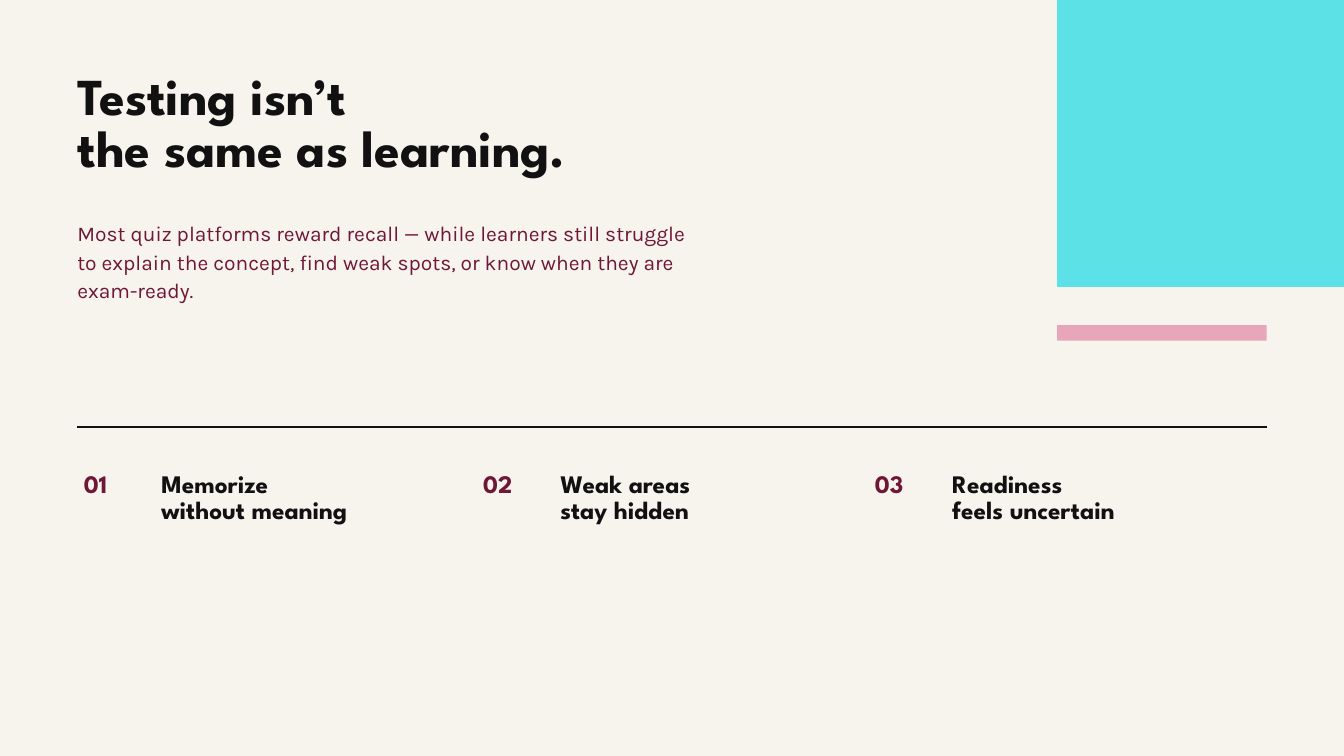
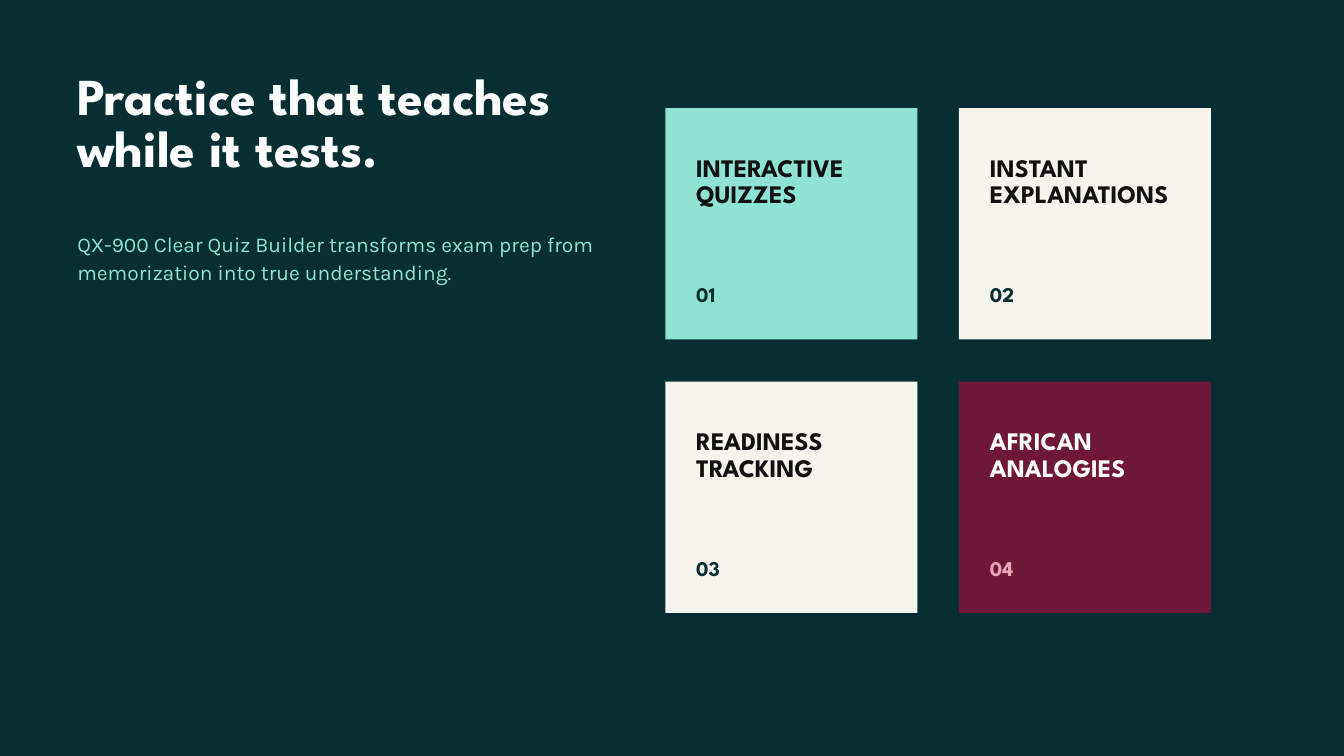
from dataclasses import dataclass

from lxml import etree
from pptx import Presentation
from pptx.dml.color import RGBColor
from pptx.enum.shapes import MSO_CONNECTOR, MSO_SHAPE
from pptx.enum.text import MSO_AUTO_SIZE
from pptx.oxml.ns import qn
from pptx.util import Inches, Pt

RECTANGLE = MSO_SHAPE.RECTANGLE
STRAIGHT = MSO_CONNECTOR.STRAIGHT
GROW = MSO_AUTO_SIZE.SHAPE_TO_FIT_TEXT

CREAM = "F7F3ED"
DARK_TEAL = "072F33"
INK = "111111"
WHITE = "FFFFFF"
WINE = "6F1737"
PINK = "E8A6BA"
CYAN = "5CE1E6"
MINT = "8EE3D2"

HEADING_FONT = "League Spartan"
BODY_FONT = "Karla"
PAGE_WIDTH, PAGE_HEIGHT = 20, 11.25
MARGIN = 1.15

CARD_LEFT, CARD_TOP = 9.9, 1.61
CARD_WIDTH, CARD_HEIGHT = 3.75, 3.44
CARD_STEP_X, CARD_STEP_Y = 4.37, 4.07
CARD_PADDING = 0.46


@dataclass(frozen=True)
class Problem:
    """A numbered problem below the rule."""
    text: str
    left: float
    width: float


@dataclass(frozen=True)
class Card:
    """A coloured feature card."""
    text: str
    fill: str = CREAM
    text_color: str = INK
    number_color: str = DARK_TEAL


PROBLEMS = (
    Problem("Memorize\nwithout meaning", 1.25, 3.65),
    Problem("Weak areas\nstay hidden", 7.19, 3.33),
    Problem("Readiness\nfeels uncertain", 13.02, 4.06),
)

CARDS = (
    Card("INTERACTIVE\nQUIZZES", fill=MINT),
    Card("INSTANT\nEXPLANATIONS"),
    Card("READINESS\nTRACKING"),
    Card("AFRICAN\nANALOGIES", WINE, WHITE, PINK),
)


def rgb(color: str) -> RGBColor:
    """Turn a hex string into a colour."""
    return RGBColor.from_string(color)


def add_text(shapes, text: str, left: float, top: float, width: float, height: float, *,
             color: str, size: float = 27, spacing: float = 28.4,
             font: str = HEADING_FONT, bold: bool = True) -> None:
    """Add a text box without insets, one paragraph per line of text."""
    box = shapes.add_textbox(Inches(left), Inches(top), Inches(width), Inches(height))
    frame = box.text_frame
    frame.word_wrap = True
    frame.auto_size = GROW
    frame.margin_left = frame.margin_top = frame.margin_right = frame.margin_bottom = 0
    for index, line in enumerate(text.split("\n")):
        para = frame.add_paragraph() if index else frame.paragraphs[0]
        para.line_spacing = Pt(spacing)
        span = para.add_run()
        span.text = line
        span.font.name = font
        span.font.size = Pt(size)
        span.font.bold = bold
        span.font.color.rgb = rgb(color)


def add_block(shapes, left: float, top: float, width: float, height: float, fill: str) -> None:
    """Add a flat rectangle without outline."""
    block = shapes.add_shape(RECTANGLE, Inches(left), Inches(top), Inches(width), Inches(height))
    block.shadow.inherit = False
    block.fill.solid()
    block.fill.fore_color.rgb = rgb(fill)
    block.line.fill.background()


def add_rule(shapes, top: float) -> None:
    """Add a horizontal rule between the page margins."""
    rule = shapes.add_connector(STRAIGHT, Inches(MARGIN), Inches(top),
                                Inches(PAGE_WIDTH - MARGIN), Inches(top))
    rule.line.color.rgb = rgb(INK)
    rule.line.width = Pt(2.25)
    etree.SubElement(rule._element.spPr, qn("a:effectLst"))


def add_page(deck, background: str, title: str, title_color: str, title_width: float):
    """Add a blank page with its background and title."""
    page = deck.slides.add_slide(deck.slide_layouts[6])
    page.background.fill.solid()
    page.background.fill.fore_color.rgb = rgb(background)
    add_text(page.shapes, title, MARGIN, 1.1, title_width, 1.58,
             color=title_color, size=55.5, spacing=55.5)
    return page


def add_intro(shapes, text: str, top: float, width: float, height: float, color: str) -> None:
    """Add the introduction under a title."""
    add_text(shapes, text, MARGIN, top, width, height,
             color=color, size=22.5, spacing=30.4, font=BODY_FONT, bold=False)


def add_problem(shapes, number: int, problem: Problem) -> None:
    """Add a problem with its number on the left."""
    top = 7.02
    add_text(shapes, f"{number:02}", problem.left, top, 1.04, 0.4, color=WINE)
    add_text(shapes, problem.text, problem.left + 1.15, top, problem.width, 0.79, color=INK)


def add_card(shapes, number: int, card: Card) -> None:
    """Add a grouped card at its place in the two-column grid."""
    row, column = divmod(number - 1, 2)
    left = CARD_LEFT + column * CARD_STEP_X
    top = CARD_TOP + row * CARD_STEP_Y
    parts = shapes.add_group_shape().shapes
    add_block(parts, left, top, CARD_WIDTH, CARD_HEIGHT, card.fill)
    add_text(parts, card.text, left + CARD_PADDING, top + 0.71, 3.12, 0.8,
             color=card.text_color)
    add_text(parts, f"{number:02}", left + CARD_PADDING, top + 2.52, 0.94, 0.41,
             color=card.number_color, size=22.5, spacing=31.5)


def build_problem_page(deck) -> None:
    """Build the page on testing and learning."""
    shapes = add_page(deck, CREAM, "Testing isn’t\nthe same as learning.", INK, 10.83).shapes
    add_block(shapes, 15.73, 0, 4.27, 4.27, CYAN)
    add_block(shapes, 15.73, 4.84, 3.12, 0.23, PINK)
    add_intro(shapes, "Most quiz platforms reward recall — while learners still struggle "
              "to explain the concept, find weak spots, or know when they are exam-ready.",
              3.24, 9.38, 1.24, WINE)
    add_rule(shapes, 6.35)
    for number, problem in enumerate(PROBLEMS, 1):
        add_problem(shapes, number, problem)


def build_solution_page(deck) -> None:
    """Build the page with the feature cards."""
    shapes = add_page(deck, DARK_TEAL, "Practice that teaches\nwhile it tests.", WHITE, 10.21).shapes
    add_intro(shapes, "QX-900 Clear Quiz Builder transforms exam prep from "
              "memorization into true understanding.", 3.4, 7.92, 0.83, MINT)
    for number, card in enumerate(CARDS, 1):
        add_card(shapes, number, card)


def main() -> None:
    """Build and save the deck."""
    deck = Presentation()
    deck.slide_width = Inches(PAGE_WIDTH)
    deck.slide_height = Inches(PAGE_HEIGHT)
    build_problem_page(deck)
    build_solution_page(deck)
    deck.save("out.pptx")


if __name__ == "__main__":
    main()
